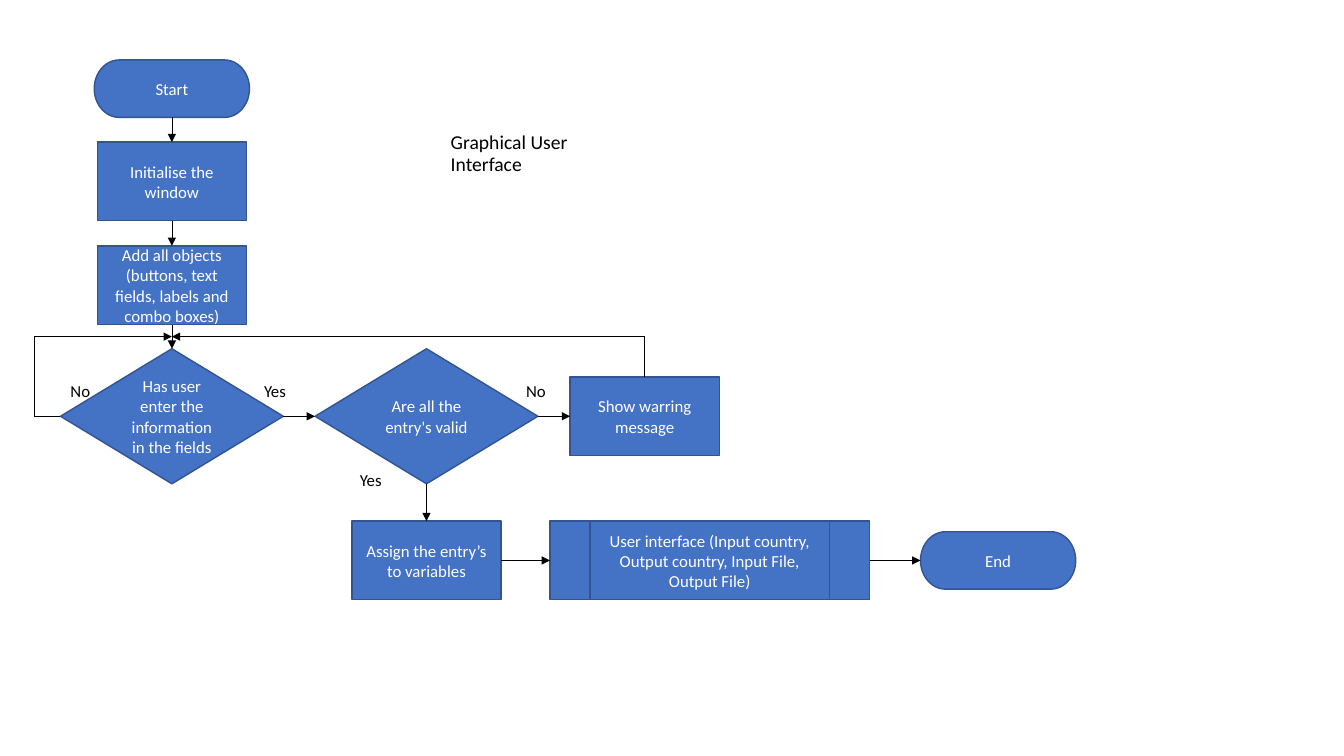
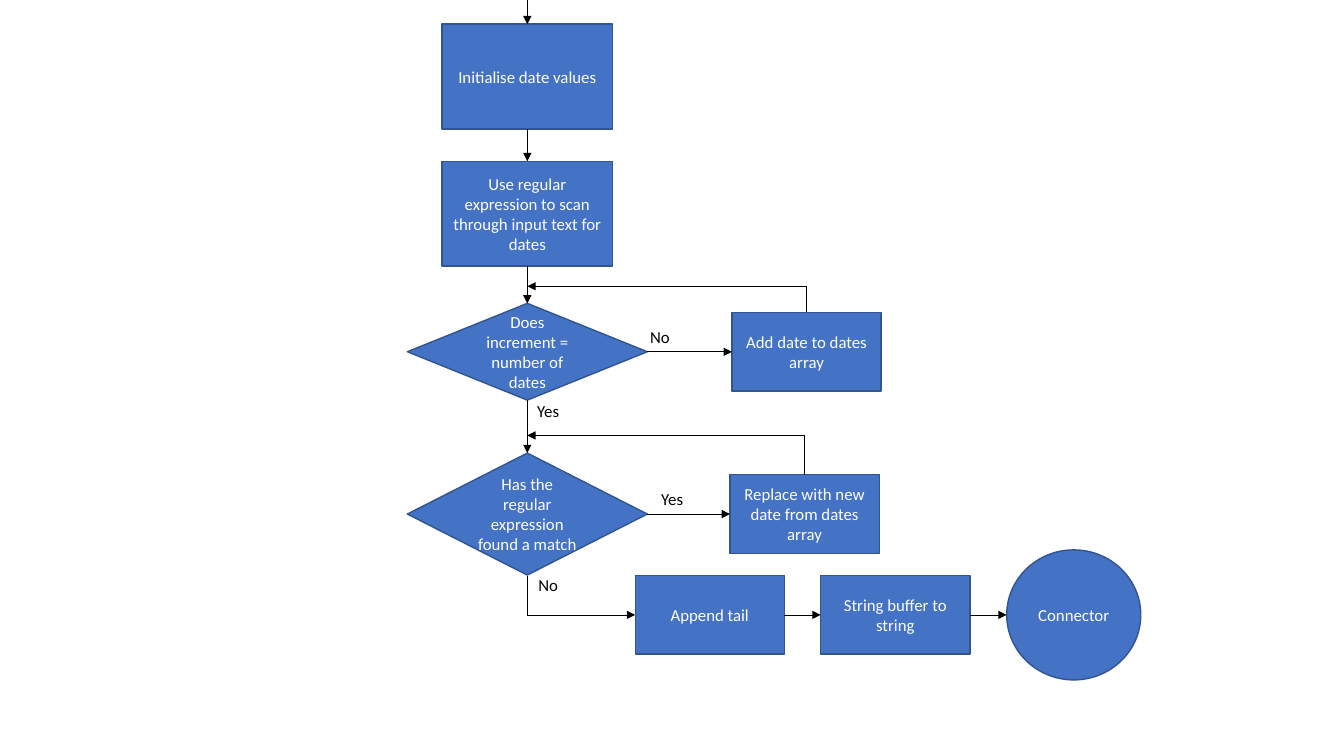
from dataclasses import dataclass
from itertools import pairwise

from lxml import etree
from pptx import Presentation, util as u
from pptx.dml.color import RGBColor
from pptx.enum import shapes, text
from pptx.oxml.ns import qn


@dataclass(frozen=True)
class Theme:
    font: str = "Calibri"
    fill: str = "4472C4"
    edge: str = "325491"
    light: str = "FFFFFF"
    dark: str = "000000"
    title: int = 14
    body: int = 12
    edge_pt: float = 1
    line_pt: float = 0.5


T = Theme()
M, A = shapes.MSO_SHAPE, text.PP_ALIGN

prs = Presentation()
prs.slide_width, prs.slide_height = u.Inches(13.33), u.Inches(7.5)
CELL = prs.slide_height / 75  # square grid, 75 rows high


def write(tf, words, size=T.body, color=T.dark, align=A.LEFT,
          anchor=text.MSO_ANCHOR.TOP, spacing=None):
    tf.word_wrap, tf.vertical_anchor = True, anchor
    p = tf.paragraphs[0]
    p.alignment, p.line_spacing = align, spacing
    r = p.add_run()
    r.text = words
    r.font.name, r.font.size = T.font, u.Pt(size)
    r.font.color.rgb = RGBColor.from_string(color)


def route(s, points, head=True):
    """Straight legs through the grid points, arrowhead on the last leg."""
    for a, b in pairwise(points):
        c = s.shapes.add_connector(shapes.MSO_CONNECTOR.STRAIGHT,
                                   *(round(v * CELL) for v in (*a, *b)))
        c.line.width = u.Pt(T.line_pt)
        c.line.color.rgb = RGBColor.from_string(T.dark)
        etree.SubElement(c._element.spPr, qn("a:effectLst"))
    if head:
        etree.SubElement(c.line._get_or_add_ln(), qn("a:tailEnd"), type="triangle")
    return c


# Node kinds: preset, columns wide, rows high
KINDS = {
    "end": (M.FLOWCHART_TERMINATOR, 15.4, 5.7),
    "step": (M.FLOWCHART_PROCESS, 14.8, 7.8),
    "big": (M.FLOWCHART_PROCESS, 16.9, 10.4),
    "call": (M.FLOWCHART_PREDEFINED_PROCESS, 31.7, 7.8),
    "ask": (M.FLOWCHART_DECISION, 22.1, 13.4),
    "ask low": (M.FLOWCHART_DECISION, 23.8, 9.6),
    "ask wide": (M.FLOWCHART_DECISION, 23.8, 12.1),
    "joint": (M.FLOWCHART_CONNECTOR, 13.3, 12.9),
}

# Columns and rows that the nodes are centred on
X1, X2, X3, ASK, LAST, LOOP = 17.05, 42.3, 63.95, 41.3, 55.6, 33.4
XM, XA, XR, COUNT, MATCH, TAIL = 52.3, 80, 79.8, 34.9, 51, 61

FLOWS = [
    dict(  # Graphical user interface
        title="Graphical User Interface",
        nodes={
            "start": ("end", X1, 8.8, "Start"),
            "init": ("step", X1, 18, "Initialise the window"),
            "add": ("step", X1, 28.3,
                    "Add all objects (buttons, text fields, labels and combo boxes)"),
            "entered": ("ask", X1, ASK, "Has user enter the information in the fields"),
            "valid": ("ask", X2, ASK, "Are all the entry's valid"),
            "warn": ("step", X3, ASK, "Show warring message"),
            "assign": ("step", X2, LAST, "Assign the entry’s to variables"),
            "call": ("call", 70.4, LAST,
                     "User interface (Input country, Output country, Input File, Output File)"),
            "end": ("end", 99, LAST, "End"),
        },
        links=["start init", "init add", "add entered", "entered valid",
               "valid warn", "valid assign", "assign call", "call end"],
        routes=[
            [(6, ASK), (3.4, ASK), (3.4, LOOP), (X1, LOOP)],
            [(X3, 37.4), (X3, LOOP), (X1, LOOP)],
        ],
        labels=[("No", 6, 37.3), ("Yes", 25.2, 37.3), ("No", 51.2, 37.3),
                ("Yes", 34.7, 46.1)],
    ),
    dict(  # Date replacement
        title=None,
        nodes={
            "init": ("big", XM, 7.6, "Initialise date values"),
            "scan": ("big", XM, 21.2,
                     "Use regular expression to scan through input text for dates"),
            "count": ("ask low", XM, COUNT, "Does increment = number of dates"),
            "add": ("step", XA, COUNT, "Add date to dates array"),
            "match": ("ask wide", XM, MATCH, "Has the regular expression found a match"),
            "replace": ("step", XR, MATCH, "Replace with new date from dates array"),
            "append": ("step", 70.4, TAIL, "Append tail"),
            "string": ("step", 88.8, TAIL, "String buffer to string"),
            "joint": ("joint", 106.5, TAIL, "Connector"),
        },
        links=["init scan", "scan count", "count add", "count match",
               "match replace", "append string", "string joint"],
        routes=[
            [(XM, 0), (XM, 2.4)],
            [(XA, 31), (XA, 28.4), (XM, 28.4)],
            [(XR, 47.1), (XR, 43.2), (XM, 43.2)],
            [(XM, 57.1), (XM, TAIL), (63, TAIL)],
        ],
        labels=[("No", 63.5, 31.9), ("Yes", 52.3, 39.3), ("Yes", 64.6, 48),
                ("No", 52.4, 56.5)],
    ),
]

for flow in FLOWS:
    # Title-only layout where there is a title, otherwise the blank one
    s = prs.slides.add_slide(prs.slide_layouts[5 if flow["title"] else 6])
    if flow["title"]:
        sp = s.shapes.title
        sp.left, sp.top, sp.width, sp.height = (
            round(v * CELL) for v in (43.7, 11.7, 16.9, 7.2))
        write(sp.text_frame, flow["title"], size=T.title,
              anchor=text.MSO_ANCHOR.MIDDLE, spacing=0.9)

    # Nodes
    placed = {}
    for name, (kind, x, y, words) in flow["nodes"].items():
        preset, w, h = KINDS[kind]
        sp = s.shapes.add_shape(preset, *(round(v * CELL) for v in
                                          (x - w / 2, y - h / 2, w, h)))
        sp.shadow.inherit = False
        sp.fill.solid()
        sp.fill.fore_color.rgb = RGBColor.from_string(T.fill)
        sp.line.color.rgb = RGBColor.from_string(T.edge)
        sp.line.width = u.Pt(T.edge_pt)
        write(sp.text_frame, words, color=T.light, align=A.CENTER,
              anchor=text.MSO_ANCHOR.MIDDLE)
        placed[name] = sp

    # Arrows between neighbours: down within a column, otherwise to the right
    for link in flow["links"]:
        a, b = link.split()
        (ka, xa, ya, _), (kb, xb, yb, _) = flow["nodes"][a], flow["nodes"][b]
        down = xa == xb
        if down:
            ends = [(xa, ya + KINDS[ka][2] / 2), (xb, yb - KINDS[kb][2] / 2)]
        else:
            ends = [(xa + KINDS[ka][1] / 2, ya), (xb - KINDS[kb][1] / 2, yb)]
        c = route(s, ends)
        c.begin_connect(placed[a], 2 if down else 3)
        if kb != "joint":  # a circle numbers its sites differently
            c.end_connect(placed[b], 0 if down else 1)

    # Loops and bent arrows
    for points in flow["routes"]:
        route(s, points)

    # Branch labels
    for words, x, y in flow["labels"]:
        tb = s.shapes.add_textbox(*(round(v * CELL) for v in (x, y, 6.8, 3)))
        write(tb.text_frame, words)
        tb.text_frame.auto_size = text.MSO_AUTO_SIZE.SHAPE_TO_FIT_TEXT

prs.save("out.pptx")
